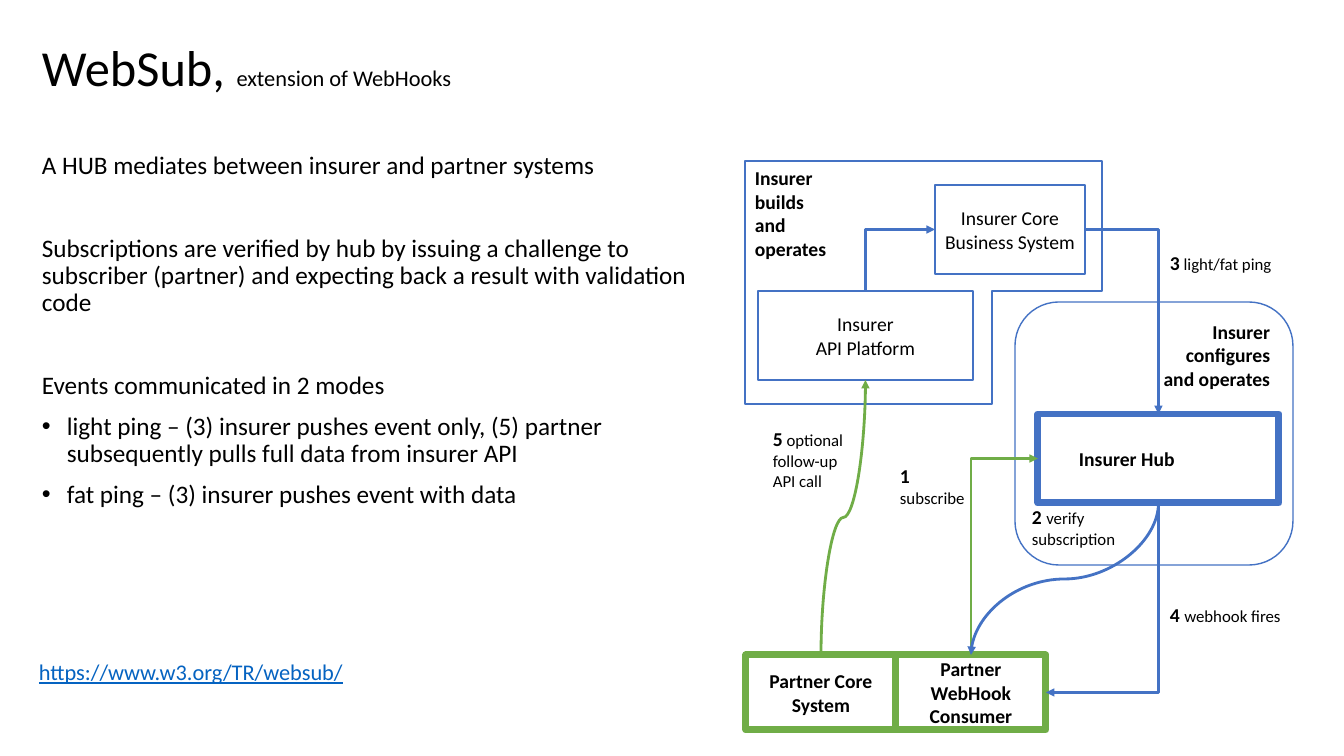
import pptx
import pptx.util
import pptx.dml.color
import pptx.enum.shapes
import pptx.enum.text
import pptx.oxml
import pptx.oxml.ns

SCALE = 914400 / 100.8
FONT = "Calibri"
BLACK = pptx.dml.color.RGBColor(0x00, 0x00, 0x00)
WHITE = pptx.dml.color.RGBColor(0xFF, 0xFF, 0xFF)
BLUE = pptx.dml.color.RGBColor(0x44, 0x72, 0xC4)
GREEN = pptx.dml.color.RGBColor(0x70, 0xAD, 0x47)
LINK = pptx.dml.color.RGBColor(0x05, 0x63, 0xC1)

SHAPE = pptx.enum.shapes.MSO_SHAPE
CONNECTOR = pptx.enum.shapes.MSO_CONNECTOR
ALIGN = pptx.enum.text.PP_ALIGN
ANCHOR = pptx.enum.text.MSO_ANCHOR
TOP, LEFT, BOTTOM, RIGHT = range(4)


def px(n):
    return pptx.util.Emu(round(n * SCALE))


def add_xml(parent, tag, **attrs):
    el = pptx.oxml.parse_xml(f"<a:{tag} {pptx.oxml.ns.nsdecls('a')}/>")
    for name, value in attrs.items():
        el.set(name, value)
    parent.append(el)


def style_run(r, size, bold=False, color=BLACK):
    r.font.name = FONT
    r.font.size = pptx.util.Pt(size)
    r.font.bold = bold
    r.font.color.rgb = color


def add_run(p, text, size, bold=False, color=BLACK):
    r = p.add_run()
    r.text = text
    style_run(r, size, bold, color)
    return r


def add_text_box(s, box, anchor=ANCHOR.TOP):
    tf = s.shapes.add_textbox(*map(px, box)).text_frame
    tf.word_wrap = True
    tf.vertical_anchor = anchor
    return tf


def style_shape(sp, text, color, line, bold, align, anchor):
    sp.shadow.inherit = False
    sp.fill.solid()
    sp.fill.fore_color.rgb = WHITE
    sp.line.color.rgb = color
    sp.line.width = pptx.util.Pt(line)
    tf = sp.text_frame
    tf.word_wrap = True
    tf.vertical_anchor = anchor
    tf.text = text
    for p in tf.paragraphs:
        p.alignment = align
        style_run(p.runs[0], 14, bold)


def add_box(s, box, text, color=BLUE, line=1, bold=False, kind=SHAPE.RECTANGLE,
            align=ALIGN.CENTER, anchor=ANCHOR.MIDDLE):
    sp = s.shapes.add_shape(kind, *map(px, box))
    style_shape(sp, text, color, line, bold, align, anchor)
    return sp


def add_outline(s, points, text):
    start, *rest = [(px(x), px(y)) for x, y in points]
    builder = s.shapes.build_freeform(*start)
    builder.add_line_segments(rest, close=True)
    style_shape(builder.convert_to_shape(), text, BLUE, 1, True, ALIGN.LEFT, ANCHOR.TOP)


def add_link(s, kind, start, end, arrow, color):
    cxn = s.shapes.add_connector(kind, 0, 0, 0, 0)
    cxn.begin_connect(*start)
    cxn.end_connect(*end)
    cxn.line.color.rgb = color
    cxn.line.width = pptx.util.Pt(2)
    add_xml(cxn._element.spPr.find(pptx.oxml.ns.qn("a:ln")), arrow, type="triangle")
    add_xml(cxn._element.spPr, "effectLst")
    return cxn


def add_bent_link(s, start, end, arrow, color):
    cxn = add_link(s, CONNECTOR.ELBOW, start, end, arrow, color)
    cxn._element.spPr.find(pptx.oxml.ns.qn("a:prstGeom")).set("prst", "bentConnector2")


def add_curved_link(s, start, end, arrow, color):
    cxn = add_link(s, CONNECTOR.CURVE, start, end, arrow, color)
    w, h = cxn.width, cxn.height
    cxn.left, cxn.top = cxn.left + (w - h) // 2, cxn.top + (h - w) // 2
    cxn.width, cxn.height = h, w
    xfrm = cxn._element.spPr.find(pptx.oxml.ns.qn("a:xfrm"))
    xfrm.attrib.pop("flipH", None)
    xfrm.set("rot", "5400000")


def add_label(s, box, number, text):
    tf = add_text_box(s, box)
    first, *rest = text.split("\n")
    p = tf.paragraphs[0]
    add_run(p, number, 14, bold=True)
    if first:
        add_run(p, first, 12)
    for line in rest:
        add_run(tf.add_paragraph(), line, 12)


def add_title(s):
    p = add_text_box(s, (32, 0, 719, 140), ANCHOR.MIDDLE).paragraphs[0]
    p.line_spacing = 0.9
    add_run(p, "WebSub, ", 36)
    add_run(p, "extension of WebHooks", 16)


def add_body(s):
    tf = add_text_box(s, (32, 148, 719, 380))
    items = [
        ("A HUB mediates between insurer and partner systems", 0, False),
        ("Subscriptions are verified by hub by issuing a challenge to subscriber "
         "(partner) and expecting back a result with validation code", 39.5, False),
        ("Events communicated in 2 modes", 39.5, False),
        ("light ping – (3) insurer pushes event only, (5) partner subsequently "
         "pulls full data from insurer API", 10, True),
        ("fat ping – (3) insurer pushes event with data", 10, True),
    ]
    for i, (text, before, bullet) in enumerate(items):
        p = tf.add_paragraph() if i else tf.paragraphs[0]
        p.line_spacing = 0.9
        if before:
            p.space_before = pptx.util.Pt(before)
        if bullet:
            pPr = p._p.get_or_add_pPr()
            pPr.set("marL", str(px(25)))
            pPr.set("indent", str(px(-25)))
            add_xml(pPr, "buFont", typeface="Arial")
            add_xml(pPr, "buChar", char="•")
        add_run(p, text, 18)


def add_diagram(s):
    add_outline(s, [(745, 161), (1102, 161), (1102, 291), (992, 291), (992, 404), (745, 404)],
                "Insurer\nbuilds\nand\noperates")
    add_box(s, (1015, 302, 278, 263), "Insurer\nconfigures\nand operates", bold=True,
            kind=SHAPE.FLOWCHART_ALTERNATE_PROCESS, align=ALIGN.RIGHT, anchor=ANCHOR.TOP)

    core = add_box(s, (935, 185, 150, 89), "Insurer Core Business System")
    api = add_box(s, (758, 291, 215, 89), "Insurer\nAPI Platform")
    hub = add_box(s, (1038, 414, 241, 89), "Insurer Hub", line=5, bold=True, align=ALIGN.LEFT)
    hub.text_frame.margin_left = px(41)
    consumer = add_box(s, (896, 655, 150, 75), "Partner\nWebHook Consumer", GREEN, 5, True)
    partner = add_box(s, (746, 655, 150, 75), "Partner Core\nSystem", GREEN, 5, True)

    add_bent_link(s, (core, LEFT), (api, TOP), "headEnd", BLUE)
    add_bent_link(s, (core, RIGHT), (hub, TOP), "tailEnd", BLUE)
    add_bent_link(s, (consumer, RIGHT), (hub, BOTTOM), "headEnd", BLUE)
    add_bent_link(s, (hub, LEFT), (consumer, TOP), "headEnd", GREEN)
    add_curved_link(s, (api, BOTTOM), (partner, TOP), "headEnd", GREEN)
    add_curved_link(s, (hub, BOTTOM), (consumer, TOP), "tailEnd", BLUE)

    add_label(s, (890, 459, 96, 54), "1", "\nsubscribe")
    add_label(s, (1022, 500, 115, 54), "2 ", "verify\nsubscription")
    add_label(s, (1160, 246, 133, 34), "3", " light/fat ping")
    add_label(s, (1160, 598, 142, 34), "4 ", "webhook fires")
    add_label(s, (763, 422, 102, 75), "5", " optional\nfollow-up\nAPI call")


def main():
    prs = pptx.Presentation()
    prs.slide_width, prs.slide_height = px(1344), px(756)
    s = prs.slides.add_slide(prs.slide_layouts[6])
    add_title(s)
    add_body(s)
    add_diagram(s)
    p = add_text_box(s, (29, 653, 330, 64)).paragraphs[0]
    add_run(p, "https://www.w3.org/TR/websub/", 16, color=LINK).font.underline = True
    prs.save("out.pptx")


if __name__ == "__main__":
    main()
